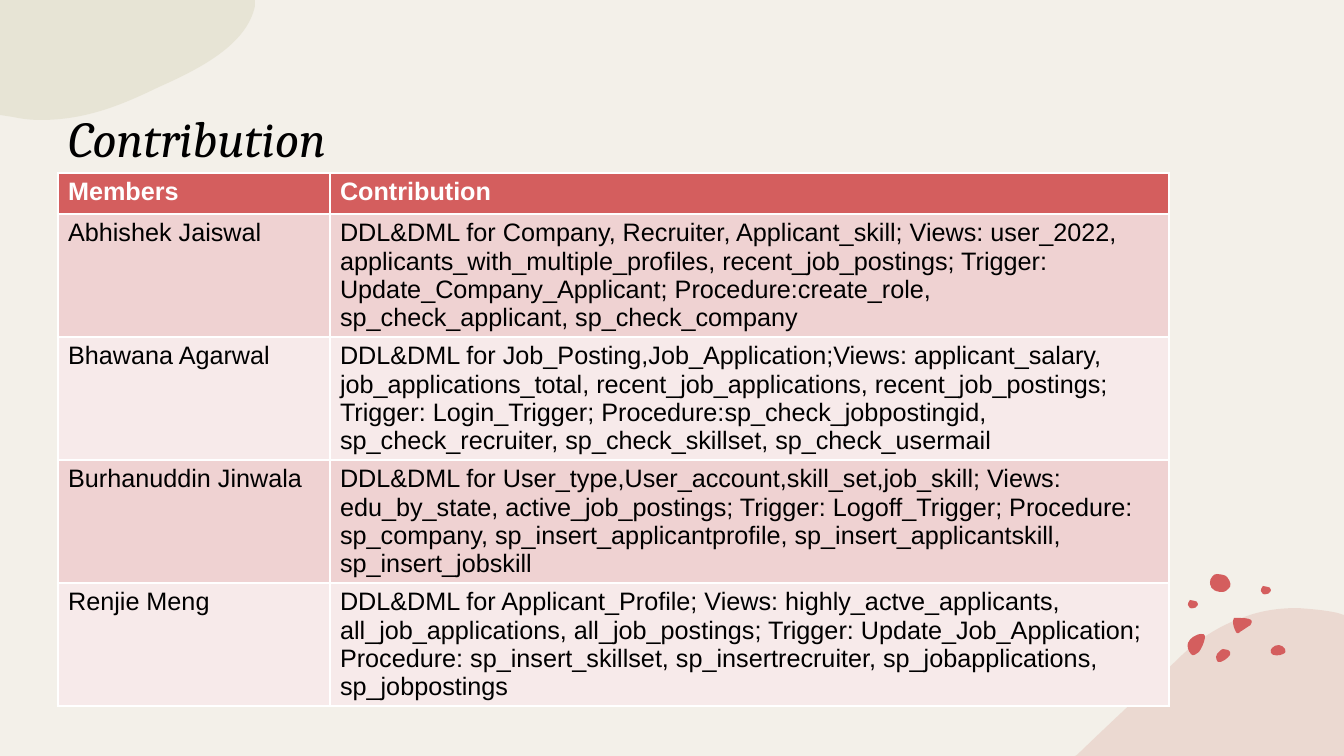
import dataclasses

import lxml.etree
import pptx
import pptx.dml.color
import pptx.enum.text
import pptx.oxml.ns
import pptx.util

PX = 12192000 / 1344


@dataclasses.dataclass(frozen=True)
class Theme:
    """Colours, fonts and type sizes of the slide."""
    paper: str = "F3F0E9"
    sand: str = "DCD9C3"
    blush: str = "E5C4BA"
    red: str = "D45E5E"
    bands: tuple = ("EFD2D2", "F7EAEA")
    white: str = "FFFFFF"
    ink: str = "000000"
    serif: str = "Cambria"
    sans: str = "Arial"
    head: int = 36
    text: int = 18


THEME = Theme()

SAND = [(0, 0), (255, 0), (255, 6), (247, 44, 202, 68, 159, 87),
        (124, 104, 87, 120, 41, 120), (31, 120, 22, 119, 13, 117), (0, 115)]
BLUSH = [(223, 0), (236, 1, 250, 2, 263, 5), (269, 7), (269, 148), (0, 148),
         (2, 147), (36, 114, 71, 82, 103, 51), (125, 29, 148, 16, 172, 8),
         (189, 2, 206, 0, 223, 0)]
SPECK = [(0, 5), (0, 5, 0, 1, 2, 0), (4, 0, 5, 0, 7, 1), (8, 1, 10, 2, 10, 4),
         (10, 5, 9, 7, 8, 7), (8, 7, 8, 8, 6, 8), (5, 8, 3, 9, 2, 8),
         (1, 6, 0, 6, 0, 5)]
DOTS = [
    (29, 76, [(7, 0), (9, 0, 10, 0, 12, 1), (14, 2, 15, 4, 14, 6),
              (12, 9, 6, 14, 2, 13), (1, 12, 0, 10, 0, 8),
              (0, 6, 2, 3, 4, 2), (5, 1, 6, 0, 7, 0)]),
    (0, 61, [(14, 0), (16, 0, 18, 0, 18, 2), (18, 3, 18, 3, 18, 4),
             (17, 9, 15, 14, 12, 18), (9, 20, 6, 23, 4, 20),
             (1, 17, 0, 12, 1, 9), (2, 6, 4, 5, 6, 3), (7, 3, 10, 0, 14, 0)]),
    (84, 72, [(8, 0), (10, 0, 13, 2, 14, 4), (15, 6, 15, 8, 12, 9),
              (9, 11, 1, 11, 0, 8), (-1, 6, 0, 4, 1, 3), (3, 1, 5, 0, 8, 0)]),
    (23, 1, [(1, 12), (0, 12, -1, 6, 2, 3), (4, 1, 4, 0, 7, 0),
             (10, 0, 14, 1, 16, 2), (18, 4, 22, 9, 20, 13),
             (17, 16, 16, 18, 12, 18), (9, 18, 4, 17, 3, 15),
             (1, 14, 1, 13, 1, 12)]),
    (74, 13, SPECK),
    (1, 27, SPECK),
    (46, 45, [(5, 0), (11, 0, 22, 0, 18, 6), (18, 7, 17, 8, 16, 8),
              (13, 10, 10, 12, 7, 14), (6, 15, 5, 16, 4, 15),
              (4, 15, 3, 14, 3, 14), (1, 10, 0, 7, 0, 3),
              (0, 2, 0, 1, 1, 0), (5, 0)]),
]
ROWS = [
    ("Members", "Contribution"),
    ("Abhishek Jaiswal",
     "DDL&DML for Company, Recruiter, Applicant_skill; Views: user_2022, "
     "applicants_with_multiple_profiles, recent_job_postings; Trigger: "
     "Update_Company_Applicant; Procedure:create_role, "
     "sp_check_applicant, sp_check_company"),
    ("Bhawana Agarwal",
     "DDL&DML for Job_Posting,Job_Application;Views: applicant_salary, "
     "job_applications_total, recent_job_applications, recent_job_postings; "
     "Trigger: Login_Trigger; Procedure:sp_check_jobpostingid, "
     "sp_check_recruiter, sp_check_skillset, sp_check_usermail"),
    ("Burhanuddin Jinwala",
     "DDL&DML for User_type,User_account,skill_set,job_skill; Views: "
     "edu_by_state, active_job_postings; Trigger: Logoff_Trigger; Procedure: "
     "sp_company, sp_insert_applicantprofile, sp_insert_applicantskill, "
     "sp_insert_jobskill"),
    ("Renjie Meng",
     "DDL&DML for Applicant_Profile; Views: highly_actve_applicants, "
     "all_job_applications, all_job_postings; Trigger: Update_Job_Application; "
     "Procedure: sp_insert_skillset, sp_insertrecruiter, sp_jobapplications, "
     "sp_jobpostings"),
]


def px(size):
    """Turn px into EMU."""
    return pptx.util.Emu(round(size * PX))


def rgb(code):
    """Turn a hex code into a colour."""
    return pptx.dml.color.RGBColor.from_string(code)


def bend(shape, left, top, steps):
    """Turn the sides that have control points into curves."""
    tag = pptx.oxml.ns.qn
    sides = shape.element.spPr.findall(".//" + tag("a:lnTo"))
    for side, step in zip(sides, steps[1:]):
        if len(step) == 2:
            continue
        side.clear()
        curve = lxml.etree.Element(tag("a:cubicBezTo"))
        for x, y in zip(step[::2], step[1::2]):
            lxml.etree.SubElement(curve, tag("a:pt"), x=str(px(left + x) - shape.left),
                                  y=str(px(top + y) - shape.top))
        side.getparent().replace(side, curve)


def blob(shapes, left, top, steps, color, alpha=None):
    """Draw a filled outline at a place."""
    points = [(px(left + step[-2]), px(top + step[-1])) for step in steps]
    form = shapes.build_freeform(*points[0], scale=1.0)
    form.add_line_segments(points[1:], close=True)
    shape = form.convert_to_shape()
    bend(shape, left, top, steps)
    shape.shadow.inherit = False
    shape.fill.solid()
    shape.fill.fore_color.rgb = rgb(color)
    shape.line.fill.background()
    if alpha:
        tint = shape.element.spPr.find(".//" + pptx.oxml.ns.qn("a:srgbClr"))
        lxml.etree.SubElement(tint, pptx.oxml.ns.qn("a:alpha"), val=str(alpha * 1000))


def decor(slide, left, top):
    """Draw the corner blobs and the dots, the dots from a corner."""
    blob(slide.shapes, 1075, 608, BLUSH, THEME.blush, 50)
    group = slide.shapes.add_group_shape()
    for x, y, steps in DOTS:
        blob(group.shapes, left + x, top + y, steps, THEME.red)
    blob(slide.shapes, 0, 0, SAND, THEME.sand, 50)


def style(para, name, size, color):
    """Set the font of a paragraph."""
    para.font.name = name
    para.font.size = pptx.util.Pt(size)
    para.font.color.rgb = rgb(color)


def title(slide, left, top, width, height):
    """Place the title in its box."""
    box = slide.shapes.title
    box.element.getparent().append(box.element)
    box.left, box.top, box.width, box.height = map(px, (left, top, width, height))
    frame = box.text_frame
    frame.text = "Contribution"
    frame.auto_size = pptx.enum.text.MSO_AUTO_SIZE.NONE
    frame.vertical_anchor = pptx.enum.text.MSO_ANCHOR.BOTTOM
    para = frame.paragraphs[0]
    para.alignment = pptx.enum.text.PP_ALIGN.LEFT
    style(para, THEME.serif, THEME.head, THEME.ink)
    para.font.italic = True


def table(slide, left, top, width, height):
    """Place the table of members in its box."""
    first, header = 272, 41
    grid = slide.shapes.add_table(len(ROWS), 2, *map(px, (left, top, width, height))).table
    grid.columns[0].width = px(first)
    grid.columns[1].width = px(width - first)
    for row, texts in enumerate(ROWS):
        grid.rows[row].height = px((height - header) / (len(ROWS) - 1) if row else header)
        for col, text in enumerate(texts):
            cell = grid.cell(row, col)
            cell.fill.solid()
            cell.fill.fore_color.rgb = rgb(THEME.bands[(row - 1) % 2] if row else THEME.red)
            cell.text = text
            para = cell.text_frame.paragraphs[0]
            style(para, THEME.sans, THEME.text, THEME.ink if row else THEME.white)
            para.font.bold = row == 0


def main():
    """Build and save the slide."""
    deck = pptx.Presentation()
    deck.slide_width, deck.slide_height = px(1344), px(756)
    slide = deck.slides.add_slide(deck.slide_layouts[5])
    slide.background.fill.solid()
    slide.background.fill.fore_color.rgb = rgb(THEME.paper)
    decor(slide, 1187, 573)
    title(slide, 58, 27, 1111, 146)
    table(slide, 58, 173, 1111, 533)
    deck.save("out.pptx")


if __name__ == "__main__":
    main()
